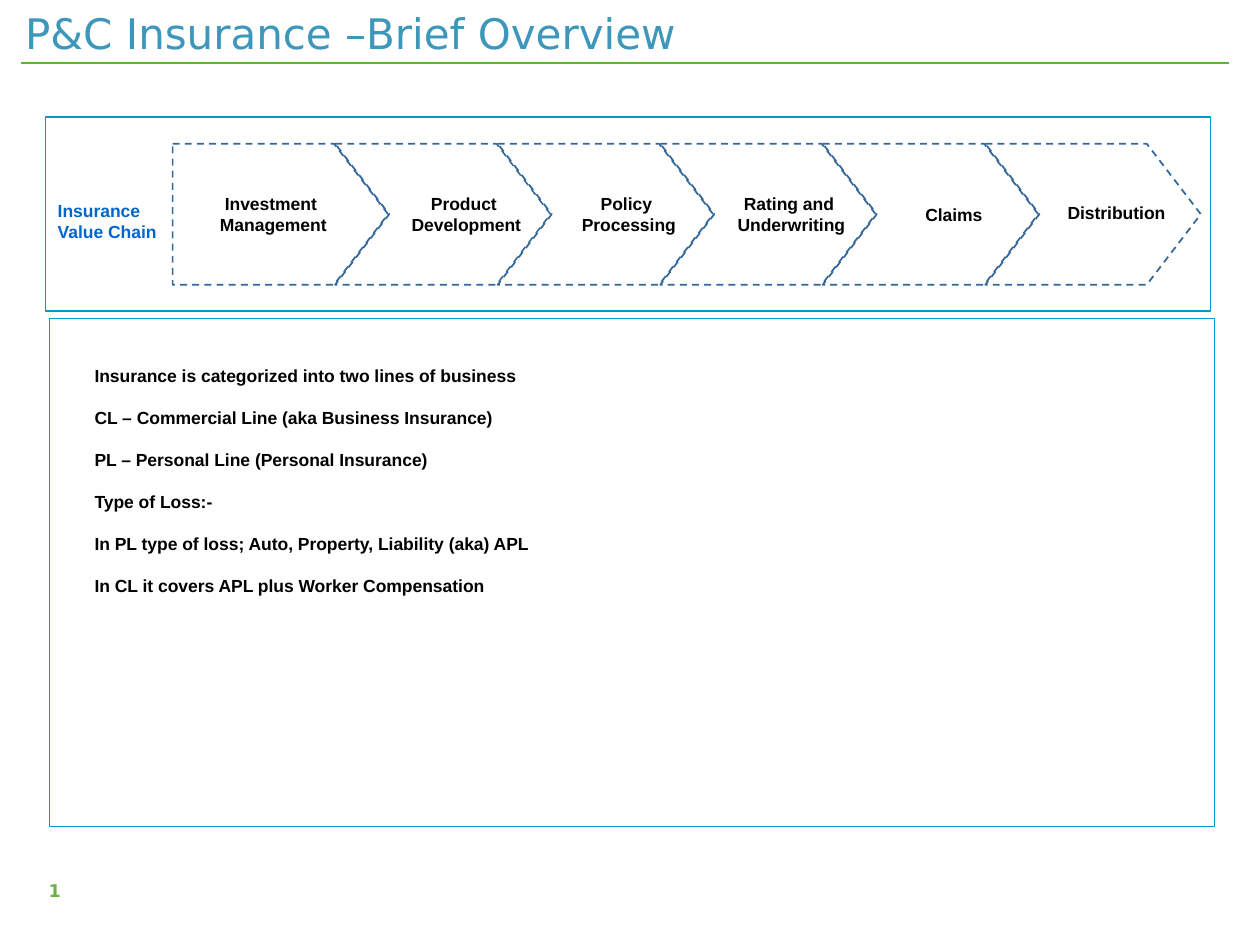
"""Build the P&C insurance overview slide with its value chain and lines of business."""
from dataclasses import dataclass

from lxml.etree import SubElement
from pptx import Presentation
from pptx.dml.color import RGBColor
from pptx.enum.dml import MSO_LINE
from pptx.enum.shapes import MSO_CONNECTOR, MSO_SHAPE
from pptx.enum.text import MSO_ANCHOR, MSO_AUTO_SIZE, PP_ALIGN
from pptx.oxml.ns import qn
from pptx.util import Inches, Pt

COLORS = {
    "title": "3D97BB", "rule": "55B738", "number": "6DB23F", "panel": "0099CC",
    "label": "0066CC", "step": "336699", "text": "000000", "white": "FFFFFF",
}
BODY = [
    "Insurance is categorized into two lines of business",
    "CL – Commercial Line (aka Business Insurance)",
    "PL – Personal Line (Personal Insurance)",
    "Type of Loss:-",
    "In PL type of loss; Auto, Property, Liability (aka) APL",
    "In CL it covers APL plus Worker Compensation",
]
STEP_LEFT, STEP_PITCH = 1.37, 1.29


@dataclass
class Panel:
    left: float
    top: float
    width: float
    height: float


@dataclass
class Step:
    text: str
    shape: MSO_SHAPE = MSO_SHAPE.CHEVRON
    inset: float = 0.47
    filled: bool = False
    spacing: float = 1.0


PANELS = [Panel(0.39, 2.53, 9.25, 4.03), Panel(0.36, 0.93, 9.25, 1.54)]
STEPS = [
    Step("Investment \nManagement", MSO_SHAPE.PENTAGON, 0.2),
    Step("Product \nDevelopment"),
    Step("Policy \nProcessing", filled=True),
    Step("Rating and \nUnderwriting"),
    Step("Claims"),
    Step("Distribution", spacing=0.9),
]


def rgb(name: str) -> RGBColor:
    return RGBColor.from_string(COLORS[name])


def place(sp, left: float, top: float, width: float, height: float) -> None:
    sp.left, sp.top = Inches(left), Inches(top)
    sp.width, sp.height = Inches(width), Inches(height)


def set_insets(tf, left: float, top: float, right: float, bottom: float) -> None:
    tf.margin_left, tf.margin_top = Inches(left), Inches(top)
    tf.margin_right, tf.margin_bottom = Inches(right), Inches(bottom)


def write(tf, text: str, color: str, size: float = 10, font: str = "Arial",
          bold: bool = True, align: PP_ALIGN = PP_ALIGN.LEFT) -> None:
    tf.text = text
    for p in tf.paragraphs:
        p.alignment = align
        for r in p.runs:
            r.font.name, r.font.size, r.font.bold = font, Pt(size), bold
            r.font.color.rgb = rgb(color)


def add_panel(s, panel: Panel):
    sp = s.shapes.add_shape(MSO_SHAPE.RECTANGLE, Inches(panel.left), Inches(panel.top),
                            Inches(panel.width), Inches(panel.height))
    sp.shadow.inherit = False
    sp.fill.solid()
    sp.fill.fore_color.rgb = rgb("white")
    sp.line.color.rgb = rgb("panel")
    sp.line.width = Pt(0.75)
    return sp


def add_step(s, index: int, step: Step) -> None:
    sp = s.shapes.add_shape(step.shape, Inches(STEP_LEFT + index * STEP_PITCH), Inches(1.14),
                            Inches(1.71), Inches(1.12))
    sp.adjustments[0] = 0.383
    sp.shadow.inherit = False
    if step.filled:
        sp.fill.solid()
        sp.fill.fore_color.rgb = rgb("white")
    else:
        sp.fill.background()
    sp.line.color.rgb = rgb("step")
    sp.line.width = Pt(1)
    sp.line.dash_style = MSO_LINE.DASH
    tf = sp.text_frame
    tf.word_wrap = False
    tf.vertical_anchor = MSO_ANCHOR.MIDDLE
    set_insets(tf, step.inset, 0.05, 0.1, 0.05)
    write(tf, step.text, "text", align=PP_ALIGN.CENTER)
    for p in tf.paragraphs:
        p.line_spacing = step.spacing


def add_rule(s) -> None:
    line = s.shapes.add_connector(MSO_CONNECTOR.STRAIGHT, Inches(0.17), Inches(0.5),
                                  Inches(9.75), Inches(0.5))
    line.line.color.rgb = rgb("rule")
    line.line.width = Pt(0.75)
    SubElement(line._element.spPr, qn("a:effectLst"))


def fill_title(s) -> None:
    title = s.shapes.title
    place(title, 0.1, 0, 9.58, 0.52)
    tf = title.text_frame
    tf.vertical_anchor = MSO_ANCHOR.MIDDLE
    tf.auto_size = MSO_AUTO_SIZE.NONE
    write(tf, "P&C Insurance –Brief Overview", "title", 24, "DejaVu Sans", False)


def fill_body(s) -> None:
    body = s.placeholders[1]
    place(body, 0.65, 2.85, 8.89, 2.18)
    tf = body.text_frame
    tf.auto_size = MSO_AUTO_SIZE.NONE
    write(tf, "\n".join(BODY), "text")
    for p in tf.paragraphs:
        p.space_before, p.space_after = Pt(0), Pt(12)
        pPr = p._p.get_or_add_pPr()
        pPr.set("marL", "0")
        pPr.set("indent", "0")
        SubElement(pPr, qn("a:buNone"))
    s.shapes._spTree.append(body._element)


def add_number(s) -> None:
    box = s.shapes.add_textbox(Inches(0.08), Inches(6.92), Inches(0.5), Inches(0.5))
    tf = box.text_frame
    tf.word_wrap = True
    write(tf, "1", "number", font="DejaVu Sans", align=PP_ALIGN.RIGHT)
    tf.paragraphs[0].line_spacing = 1.1


def main() -> None:
    prs = Presentation()
    prs.slide_width, prs.slide_height = Inches(10), Inches(7.5)
    s = prs.slides.add_slide(prs.slide_layouts[1])
    add_rule(s)
    fill_title(s)
    add_number(s)
    _, chain = [add_panel(s, panel) for panel in PANELS]
    tf = chain.text_frame
    tf.vertical_anchor = MSO_ANCHOR.TOP
    set_insets(tf, 0.1, 0.66, 0.1, 0.06)
    write(tf, "Insurance\nValue Chain", "label")
    for index, step in enumerate(STEPS):
        add_step(s, index, step)
    fill_body(s)
    prs.save("out.pptx")


if __name__ == "__main__":
    main()
